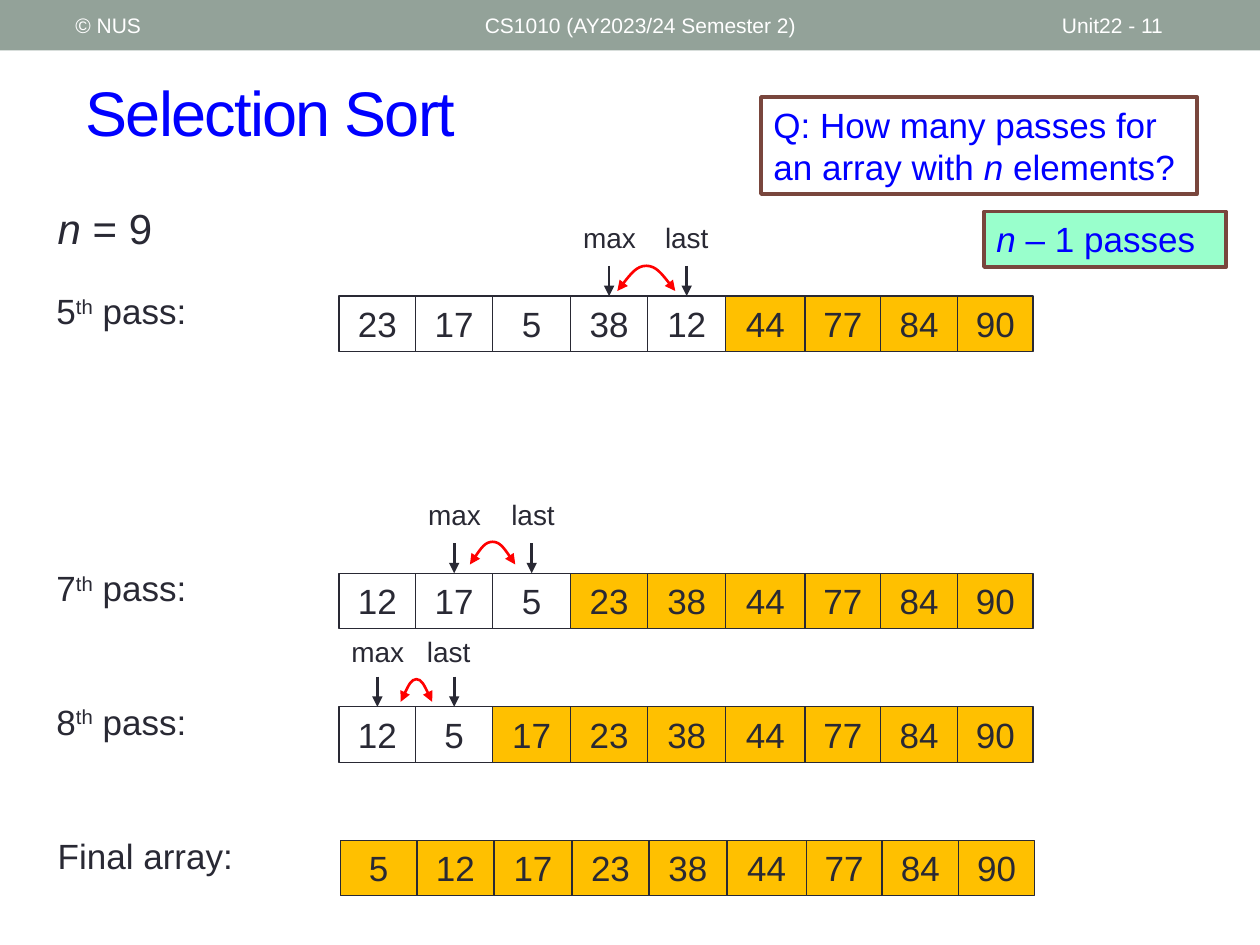
"""Build the slide on the passes of selection sort."""
from dataclasses import dataclass

from lxml.etree import SubElement
from pptx import Presentation
from pptx.dml.color import RGBColor
from pptx.enum.shapes import MSO_CONNECTOR, MSO_SHAPE
from pptx.enum.text import MSO_ANCHOR, PP_ALIGN
from pptx.oxml.ns import qn
from pptx.util import Inches, Pt


@dataclass(frozen=True)
class Theme:
    font: str = "Arial"
    ink: RGBColor = RGBColor.from_string("292934")
    blue: RGBColor = RGBColor.from_string("0000FF")
    white: RGBColor = RGBColor.from_string("FFFFFF")
    bar: RGBColor = RGBColor.from_string("93A299")
    gold: RGBColor = RGBColor.from_string("FFC000")
    red: RGBColor = RGBColor.from_string("FF0000")
    brown: RGBColor = RGBColor.from_string("79463D")
    mint: RGBColor = RGBColor.from_string("99FFCC")
    title: int = 36
    lead: int = 24
    body: int = 20
    label: int = 16
    small: int = 12


def write(shape, parts, size, hue, anchor=MSO_ANCHOR.TOP, align=PP_ALIGN.LEFT):
    frame = shape.text_frame
    frame.word_wrap = True
    frame.vertical_anchor = anchor
    para = frame.paragraphs[0]
    para.alignment = align
    para.text = parts[0][0]
    for text, _ in parts[1:]:
        para.add_run().text = text
    for run, (_, style) in zip(para.runs, parts):
        run.font.name = theme.font
        run.font.size = Pt(size)
        run.font.color.rgb = hue
        run.font.italic = style == "italic"
        if style == "super":
            run.font._element.set("baseline", "30000")


def stroke(shape, hue, width, *ends):
    shape.line.color.rgb = hue
    shape.line.width = Pt(width)
    for end in ends:
        SubElement(shape.line._get_or_add_ln(), qn("a:" + end), type="triangle")


theme = Theme()
deck = Presentation()
deck.slide_width, deck.slide_height = Inches(10), Inches(7.5)
slide = deck.slides.add_slide(deck.slide_layouts[5])
shapes = slide.shapes

bar = shapes.add_shape(MSO_SHAPE.RECTANGLE, 0, 0, Inches(10), Inches(0.4))
bar.shadow.inherit = False
bar.fill.solid()
bar.fill.fore_color.rgb = theme.bar
bar.line.fill.background()

title = shapes.title
title.left, title.top = Inches(0.58), Inches(0.42)
title.width, title.height = Inches(9.17), Inches(0.92)
write(title, [("Selection Sort", "")], theme.title, theme.blue, MSO_ANCHOR.MIDDLE)
title.text_frame.paragraphs[0].runs[0].font._element.set("spc", "-100")

for text, left, width in [
    ("© NUS", 0.5, 3.17),
    ("CS1010 (AY2023/24 Semester 2)", 3.75, 4.5),
    ("Unit22 - 11", 8.33, 1.17),
]:
    box = shapes.add_textbox(Inches(left), Inches(0.02), Inches(width), Inches(0.36))
    write(box, [(text, "")], theme.small, theme.white, MSO_ANCHOR.MIDDLE)

box = shapes.add_textbox(Inches(0.36), Inches(1.56), Inches(1.39), Inches(0.5))
write(box, [("n", "italic"), (" = 9", "")], theme.lead, theme.ink)

edges = [2.69, 3.3, 3.91, 4.53, 5.14, 5.76, 6.39, 6.99, 7.6, 8.2]
rows = [
    ([("5", ""), ("th", "super"), (" pass:", "")], 2.35, 0,
     [23, 17, 5, 38, 12, 44, 77, 84, 90], 5),
    ([("7", ""), ("th", "super"), (" pass:", "")], 4.55, 0,
     [12, 17, 5, 23, 38, 44, 77, 84, 90], 3),
    ([("8", ""), ("th", "super"), (" pass:", "")], 5.61, 0,
     [12, 5, 17, 23, 38, 44, 77, 84, 90], 2),
    ([("Final array:", "")], 6.67, 0.01,
     [5, 12, 17, 23, 38, 44, 77, 84, 90], 0),
]
grid = []
for name, top, shift, nums, first in rows:
    box = shapes.add_textbox(
        Inches(0.35 + shift), Inches(top - 0.1), Inches(1.76), Inches(0.44))
    write(box, name, theme.body, theme.ink)
    cells = []
    for spot, num in enumerate(nums):
        left, right = edges[spot:spot + 2]
        cell = shapes.add_shape(
            MSO_SHAPE.RECTANGLE, Inches(left + shift), Inches(top),
            Inches(right - left), Inches(0.44))
        cell.shadow.inherit = False
        if spot >= first:
            cell.fill.solid()
            cell.fill.fore_color.rgb = theme.gold
        else:
            cell.fill.background()
        stroke(cell, theme.ink, 0.75)
        write(cell, [(str(num), "")], theme.body, theme.ink, align=PP_ALIGN.CENTER)
        cells.append(cell)
    grid.append(cells)

swaps = [
    (grid[0], 3, 1.7, 0.04, 4.9, 5.36, 2.11, 2.31),
    (grid[1], 1, 3.9, 0.05, 3.73, 4.09, 4.3, 4.48),
    (grid[2], 0, 4.99, -0.01, 3.18, 3.43, 5.39, 5.57),
]
for cells, spot, top, nudge, start, stop, high, low in swaps:
    for cell, text, move in [(cells[spot], "max", 0), (cells[spot + 1], "last", nudge)]:
        box = shapes.add_textbox(
            cell.left + Inches(move), Inches(top), Inches(0.63), Inches(0.37))
        write(box, [(text, "")], theme.label, theme.ink)
        box.text_frame.word_wrap = text == "last"
        mid = cell.left + cell.width // 2
        arrow = shapes.add_connector(
            MSO_CONNECTOR.STRAIGHT, mid, cell.top - Inches(0.24), mid, cell.top)
        arrow.end_connect(cell, 0)
        stroke(arrow, theme.ink, 1.5, "tailEnd")
        SubElement(arrow._element.spPr, qn("a:effectLst"))

    half = (high + low) / 2
    points = [
        (Inches(start + (stop - start) * step / 6), Inches(y))
        for step, y in enumerate([low, half, high, high, high, half, low])
    ]
    pen = shapes.build_freeform(*points[0])
    pen.add_line_segments(points[1:], close=False)
    arc = pen.convert_to_shape()
    arc.shadow.inherit = False
    arc.fill.background()
    stroke(arc, theme.red, 1.5, "headEnd", "tailEnd")
    route = arc._element.find(".//" + qn("a:path"))
    lines = route.findall(qn("a:lnTo"))
    for trio in (lines[:3], lines[3:]):
        curve = SubElement(route, qn("a:cubicBezTo"))
        for line in trio:
            curve.append(line[0])
            route.remove(line)

for parts, left, top, width, height, fill in [
    ([("Q: How many passes for an array with ", ""), ("n", "italic"),
      (" elements?", "")], 6.04, 0.77, 3.46, 0.77, theme.white),
    ([("n ", "italic"), ("– 1 passes", "")], 7.81, 1.68, 1.92, 0.44, theme.mint),
]:
    note = shapes.add_shape(
        MSO_SHAPE.RECTANGLE, Inches(left), Inches(top), Inches(width), Inches(height))
    note.shadow.inherit = False
    note.fill.solid()
    note.fill.fore_color.rgb = fill
    stroke(note, theme.brown, 2.08)
    write(note, parts, theme.body, theme.blue)

deck.save("out.pptx")
